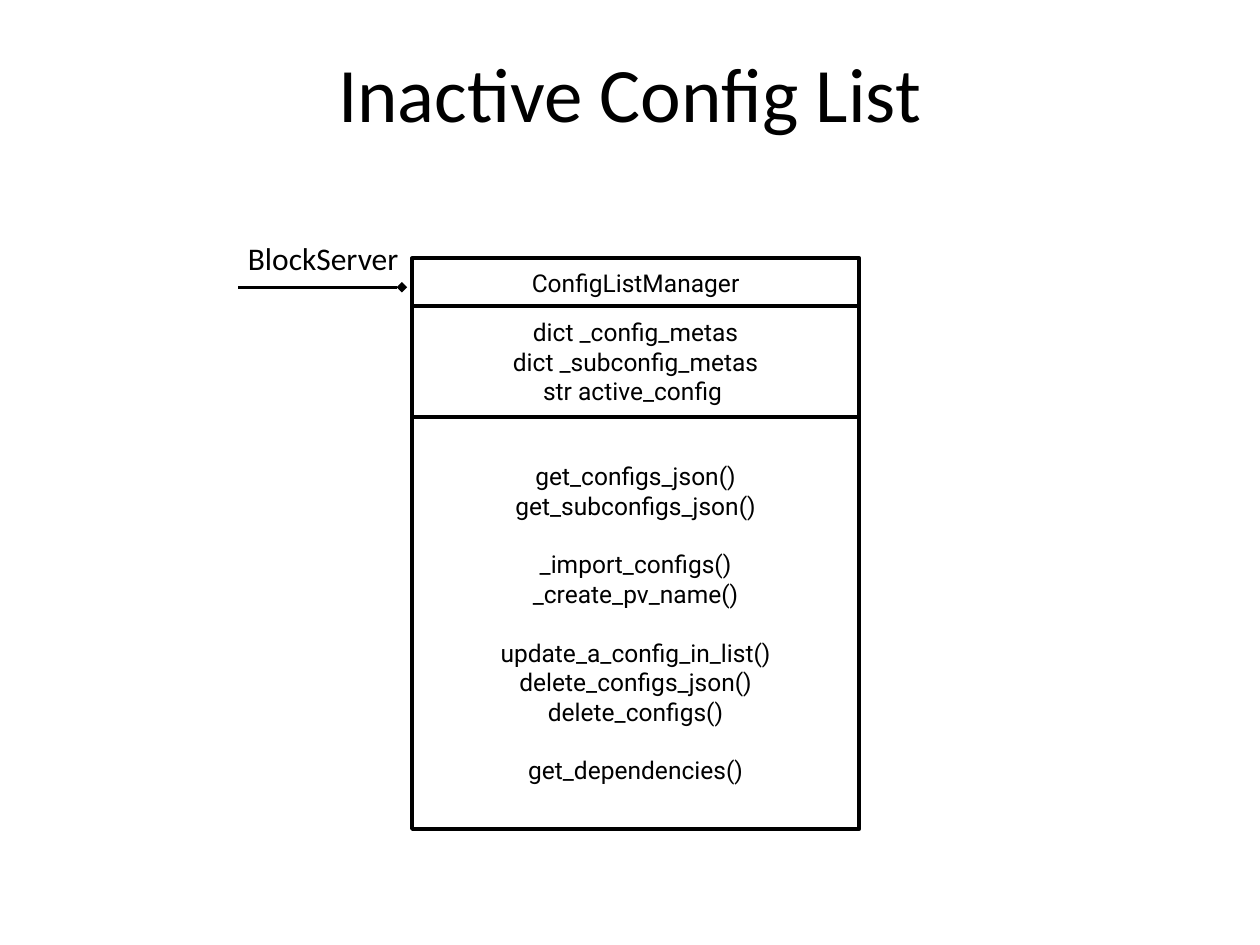
from pptx import Presentation
from pptx.util import Inches, Pt
from pptx.dml.color import RGBColor
from pptx.enum.shapes import MSO_SHAPE as SHAPE, MSO_CONNECTOR as LINK
from pptx.enum.text import PP_ALIGN as ALIGN, MSO_ANCHOR as ANCHOR
from pptx.oxml.ns import qn
from lxml.etree import SubElement

BLACK = "000000"


def color(text):
    return RGBColor.from_string(text)


def write(frame, groups, size, face, wrap=False):
    """Fill a frame with groups of lines, one line of space between groups."""
    frame.word_wrap = wrap
    frame.vertical_anchor = ANCHOR.MIDDLE
    rows = [(line, g > 0 and n == 0)
            for g, group in enumerate(groups) for n, line in enumerate(group)]
    for n, (line, gap) in enumerate(rows):
        para = frame.paragraphs[0] if n == 0 else frame.add_paragraph()
        para.alignment = ALIGN.CENTER
        if gap:
            para.space_before = Pt(size * 1.2)
        run = para.add_run()
        run.text = line
        look = {"size": Pt(size), "name": face}
        for key, value in look.items():
            setattr(run.font, key, value)
        run.font.color.rgb = color(BLACK)


deck = Presentation()
deck.slide_width, deck.slide_height = Inches(10), Inches(7.5)
slide = deck.slides.add_slide(deck.slide_layouts[5])
shapes = slide.shapes

# Title
title = shapes.title
place = {"left": 0.5, "top": 0.3, "width": 9, "height": 0.85}
for key, value in place.items():
    setattr(title, key, Inches(value))
write(title.text_frame, [["Inactive Config List"]], 44, "Calibri", True)

# Class box: name, fields, methods, stacked from the top
parts = [
    (SHAPE.FLOWCHART_PROCESS, 0.38, [["ConfigListManager"]]),
    (SHAPE.FLOWCHART_PROCESS, 0.88,
     [["dict _config_metas", "dict _subconfig_metas", "str active_config "]]),
    (SHAPE.RECTANGLE, 3.27, [
        ["get_configs_json()", "get_subconfigs_json()"],
        ["_import_configs()", "_create_pv_name()"],
        ["update_a_config_in_list()", "delete_configs_json()",
         "delete_configs()"],
        ["get_dependencies()"],
    ]),
]
top = 2.05
for kind, height, groups in parts:
    box = shapes.add_shape(kind, Inches(3.27), Inches(top),
                           Inches(3.55), Inches(height))
    box.shadow.inherit = False
    box.fill.background()
    box.line.color.rgb = color(BLACK)
    box.line.width = Pt(2.25)
    write(box.text_frame, groups, 14, "Roboto")
    top += height

# Owner link with a diamond end
link = shapes.add_connector(LINK.ELBOW, Inches(1.89), Inches(2.28),
                            Inches(3.19), Inches(2.28))
link.line.color.rgb = color(BLACK)
link.line.width = Pt(1.5)
SubElement(link.line._get_or_add_ln(), qn("a:tailEnd"), type="diamond")
SubElement(link._element.spPr, qn("a:effectLst"))

# Owner label
label = shapes.add_textbox(Inches(1.86), Inches(1.85), Inches(1.41), Inches(0.4))
write(label.text_frame, [["BlockServer"]], 18, "Calibri")

deck.save("out.pptx")
